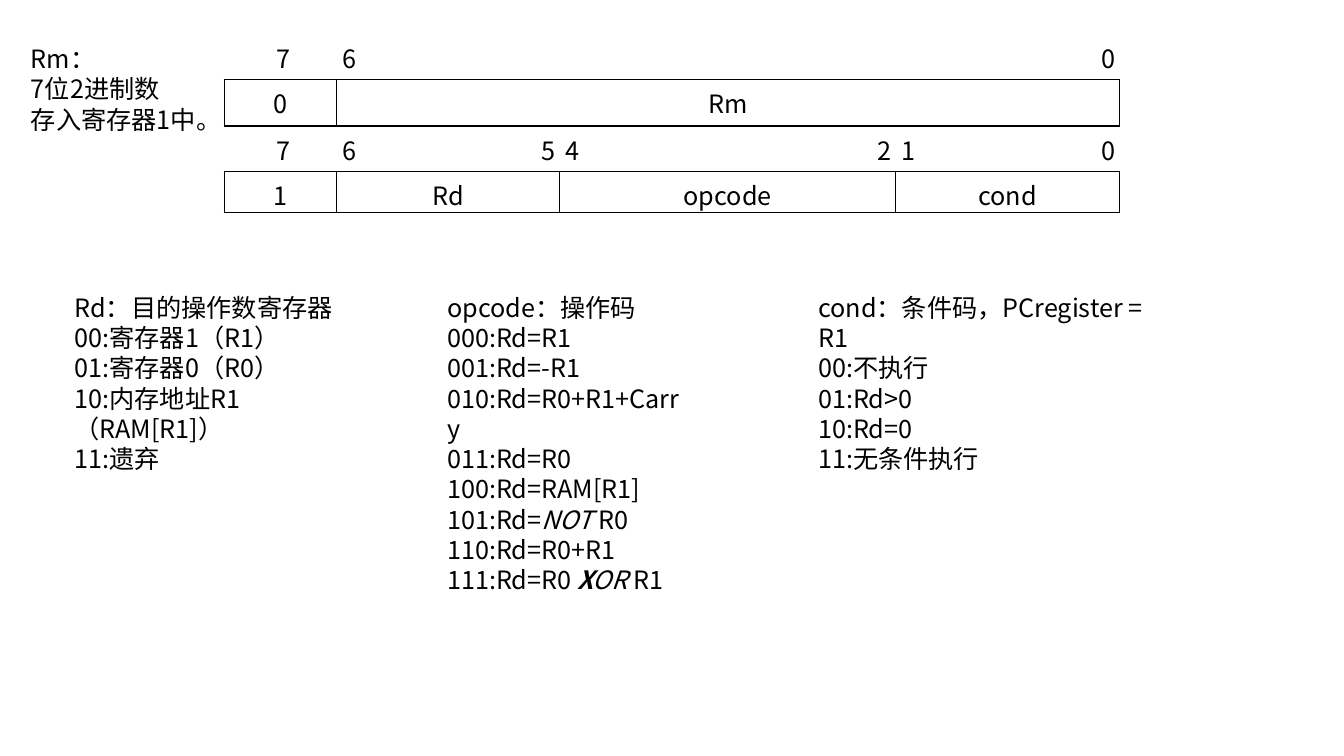
"""Build the slide of an 8-bit instruction format with its field codes."""
from dataclasses import dataclass
from itertools import accumulate
from typing import NamedTuple

import pptx
import pptx.dml.color
import pptx.enum.text
import pptx.oxml
import pptx.oxml.ns
import pptx.slide
import pptx.text.text
import pptx.util
from pptx.util import Cm

FONT = "Noto Sans CJK SC"
SIZE = pptx.util.Pt(18)
BLACK = pptx.dml.color.RGBColor(0, 0, 0)
WHITE = pptx.dml.color.RGBColor(255, 255, 255)
BIT = 2.82
LEFT = 5.65
HIGH = 1.03
DIGIT = 0.86
ABOVE = 1.03
SIDES = ("a:lnL", "a:lnR", "a:lnT", "a:lnB")


class Part(NamedTuple):
    """A stretch of text with its own style."""
    text: str
    bold: bool = False
    slant: bool = False


class Field(NamedTuple):
    """A named group of bits in a word."""
    name: str
    bits: int


@dataclass
class Word:
    """An instruction word drawn as a row of fields."""
    top: float
    fields: list[Field]


@dataclass
class Note:
    """A text block made of lines, each a list of parts."""
    left: float
    top: float
    width: float
    height: float
    lines: list[list[Part]]
    wrap: bool = True


def plain(text: str) -> list[list[Part]]:
    """Split text into lines without styles."""
    return [[Part(line)] for line in text.split("\n")]


WORDS = [
    Word(2.0, [Field("0", 1), Field("Rm", 7)]),
    Word(4.32, [Field("1", 1), Field("Rd", 2), Field("opcode", 3), Field("cond", 2)]),
]
CODES = plain("opcode：操作码\n000:Rd=R1\n001:Rd=-R1\n010:Rd=R0+R1+Carry\n"
              "011:Rd=R0\n100:Rd=RAM[R1]") + [
    [Part("101:Rd="), Part("NOT ", slant=True), Part("R0")],
    [Part("110:Rd=R0+R1")],
    [Part("111:Rd=R0 "), Part("X", True, True), Part("OR ", slant=True), Part("R1")],
]
NOTES = [
    Note(0.53, 0.97, 5.33, 2.57, plain("Rm：\n7位2进制数\n存入寄存器1中。"), False),
    Note(1.63, 7.24, 8.3, 4.11, plain(
        "Rd：目的操作数寄存器\n00:寄存器1（R1）\n01:寄存器0（R0）\n"
        "10:内存地址R1（RAM[R1]）\n11:遗弃")),
    Note(11.02, 7.24, 6.55, 7.19, CODES),
    Note(20.37, 7.24, 9.4, 4.11, plain(
        "cond：条件码，PCregister = R1\n00:不执行\n01:Rd>0\n10:Rd=0\n11:无条件执行")),
]


def style(para: pptx.text.text._Paragraph) -> None:
    """Give a paragraph the common font."""
    font = para.font
    font.name, font.size, font.color.rgb = FONT, SIZE, BLACK


def edge(cell: pptx.table._Cell) -> None:
    """Draw a thin black border round a cell."""
    props = cell._tc.get_or_add_tcPr()
    space = pptx.oxml.ns.nsdecls("a")
    for spot, side in enumerate(SIDES):
        props.insert(spot, pptx.oxml.parse_xml(
            f'<{side} {space} w="12700"><a:solidFill><a:srgbClr val="{BLACK}"/>'
            f'</a:solidFill></{side}>'))


def write(slide: pptx.slide.Slide, note: Note) -> None:
    """Add a text block."""
    box = slide.shapes.add_textbox(
        Cm(note.left), Cm(note.top), Cm(note.width), Cm(note.height))
    frame = box.text_frame
    frame.word_wrap = note.wrap
    frame.auto_size = pptx.enum.text.MSO_AUTO_SIZE.SHAPE_TO_FIT_TEXT
    for spot, line in enumerate(note.lines):
        para = frame.add_paragraph() if spot else frame.paragraphs[0]
        style(para)
        for part in line:
            run = para.add_run()
            run.text = part.text
            if part.bold:
                run.font.bold = True
            if part.slant:
                run.font.italic = True


def draw(slide: pptx.slide.Slide, word: Word) -> None:
    """Add a word as a table with bit numbers above its fields."""
    total = sum(field.bits for field in word.fields)
    table = slide.shapes.add_table(
        1, len(word.fields), Cm(LEFT), Cm(word.top), Cm(BIT * total), Cm(HIGH)).table
    table.first_row = table.horz_banding = False
    ends = accumulate(field.bits for field in word.fields)
    for spot, (field, end) in enumerate(zip(word.fields, ends)):
        table.columns[spot].width = Cm(BIT * field.bits)
        cell = table.cell(0, spot)
        cell.text = field.name
        cell.fill.solid()
        cell.fill.fore_color.rgb = WHITE
        edge(cell)
        para = cell.text_frame.paragraphs[0]
        para.alignment = pptx.enum.text.PP_ALIGN.CENTER
        style(para)
        last = LEFT + BIT * end
        first = last - BIT * field.bits
        marks = [(total - end + field.bits - 1, first - 0.1), (total - end, last - 0.71)]
        if field.bits == 1:
            marks = [(total - end, first + 1.06)]
        for bit, left in marks:
            write(slide, Note(left, word.top - ABOVE, DIGIT, 1.02, plain(str(bit)), False))


def main() -> None:
    """Save the slide."""
    deck = pptx.Presentation()
    deck.slide_width, deck.slide_height = Cm(33.87), Cm(19.05)
    slide = deck.slides.add_slide(deck.slide_layouts[6])
    for word in WORDS:
        draw(slide, word)
    for note in NOTES:
        write(slide, note)
    deck.save("out.pptx")


if __name__ == "__main__":
    main()
